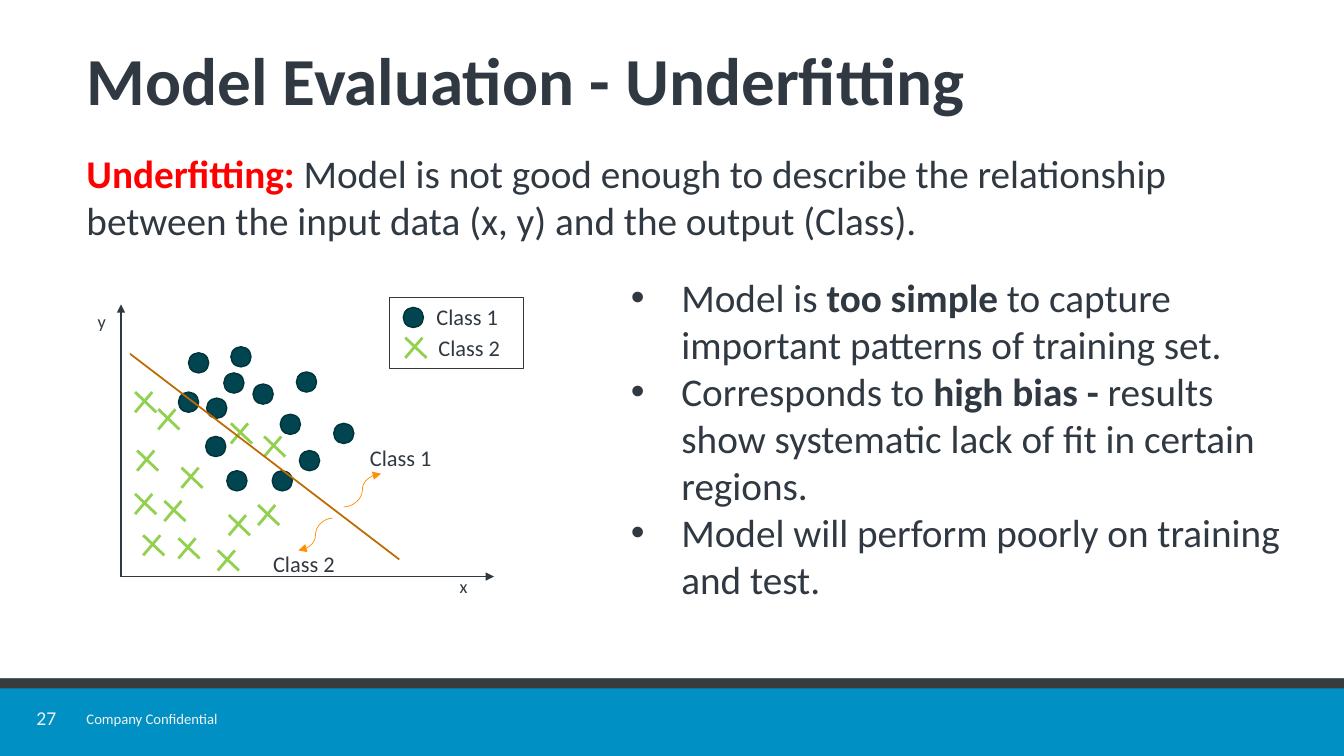
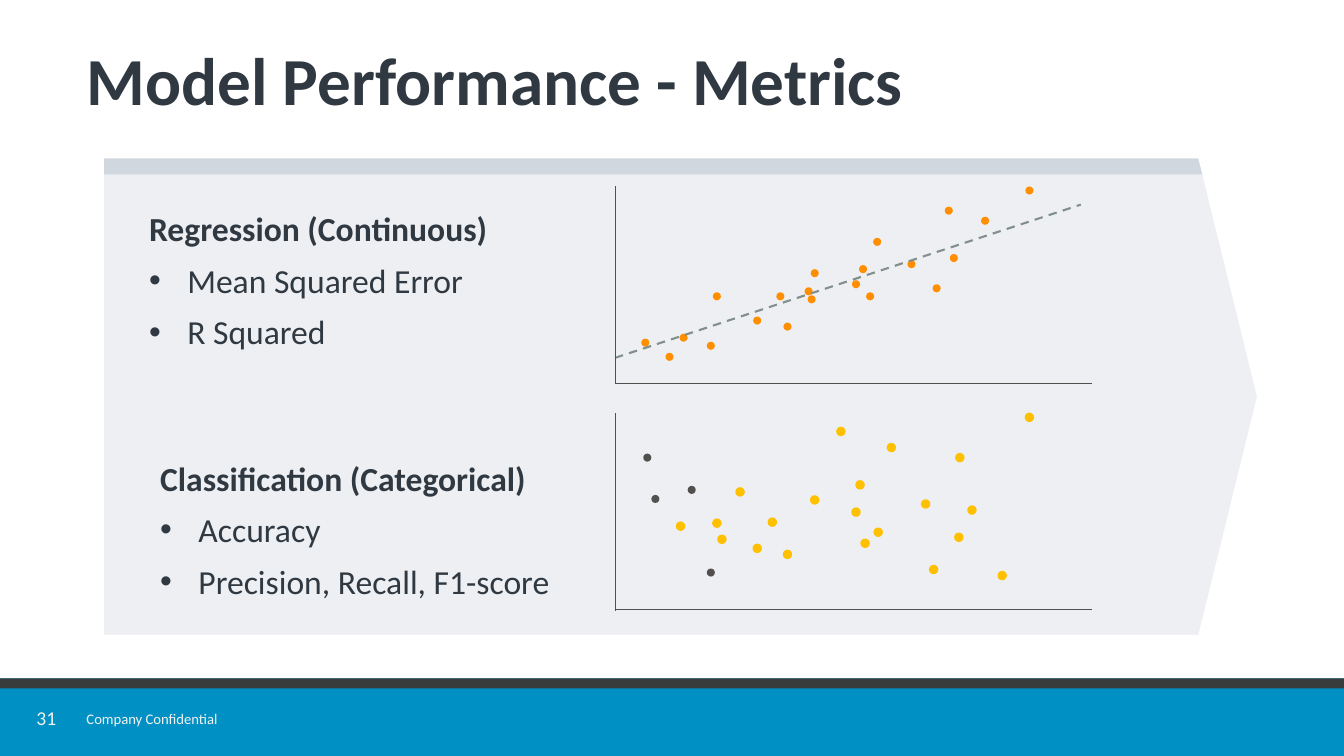
from dataclasses import dataclass

from lxml.etree import SubElement
from pptx import Presentation
from pptx.dml.color import RGBColor
from pptx.enum.dml import MSO_LINE
from pptx.enum.shapes import MSO_CONNECTOR, MSO_SHAPE
from pptx.enum.text import MSO_ANCHOR, PP_ALIGN
from pptx.oxml.ns import qn
from pptx.util import Inches, Pt


@dataclass(frozen=True)
class Theme:
    font: str = "Calibri"
    ink: str = "303942"
    red: str = "FF0000"
    white: str = "FFFFFF"
    footer_text: str = "F2F2F2"
    footer_band: str = "0090C3"
    footer_edge: str = "383D3B"
    teal: str = "00454F"
    teal_edge: str = "00333A"
    green: str = "92D050"
    boundary: str = "BF6A00"
    orange: str = "FF8E00"
    yellow: str = "FFC000"
    charcoal: str = "51504F"
    trend: str = "838F89"
    panel: str = "D1D7DE"
    title_size: float = 48
    body_size: float = 28
    list_size: float = 24
    label_size: float = 16
    number_size: float = 14
    axis_size: float = 13
    footer_size: float = 10.5


THEME = Theme()


@dataclass(frozen=True)
class Span:
    text: str
    bold: bool = False
    color: str = THEME.ink


CIRCLES = [
    (1.87, 3.5), (1.77, 3.89), (2.05, 3.95), (2.04, 4.33), (2.25, 4.67),
    (2.7, 4.67), (2.97, 4.47), (2.29, 3.44), (2.22, 3.7), (2.51, 3.81),
    (2.78, 4.11), (2.94, 3.69), (3.31, 4.2),
]
CROSSES = [
    (1.42, 5.31), (1.77, 5.34), (1.34, 4.9), (1.63, 4.97), (2.16, 5.46),
    (2.27, 5.11), (1.36, 4.47), (1.8, 4.64), (1.57, 4.06), (2.29, 4.2),
    (2.62, 4.33), (2.56, 5.01), (1.34, 3.89),
]
REGRESSION_DOTS = [
    (6.36, 3.36), (6.6, 3.5), (6.74, 3.31), (7.01, 3.39), (7.07, 2.9),
    (7.47, 3.14), (7.77, 3.2), (7.7, 2.9), (8.04, 2.67), (7.98, 2.85),
    (8.01, 2.93), (8.59, 2.9), (8.52, 2.63), (8.45, 2.78), (8.66, 2.36),
    (9, 2.58), (9.42, 2.52), (9.25, 2.82), (9.37, 2.05), (9.73, 2.15),
    (10.17, 1.85),
]
DARK_DOTS = [(6.38, 4.5), (6.46, 4.91), (7.01, 5.64), (6.82, 4.82)]
YELLOW_DOTS = [
    (6.71, 5.18), (7.07, 5.15), (7.47, 5.4), (7.77, 5.46), (8.04, 4.92),
    (7.12, 5.31), (7.3, 4.84), (9.14, 4.96), (7.62, 5.14), (8.45, 5.04),
    (8.49, 4.77), (8.67, 5.24), (8.54, 5.35), (9.48, 4.5), (8.3, 4.24),
    (8.8, 4.4), (10.17, 4.1), (9.6, 5.02), (9.47, 5.29), (9.22, 5.61),
    (9.9, 5.67),
]


def rgb(color):
    return RGBColor.from_string(color)


def set_font(font, size, color, bold=False):
    font.name = THEME.font
    font.size = Pt(size)
    font.bold = bold
    font.color.rgb = rgb(color)


def add_box(page, kind, left, top, width, height, fill=None, line=None, weight=1.0):
    box = page.shapes.add_shape(
        kind, Inches(left), Inches(top), Inches(width), Inches(height))
    box.shadow.inherit = False
    if fill:
        box.fill.solid()
        box.fill.fore_color.rgb = rgb(fill)
    else:
        box.fill.background()
    if line:
        box.line.color.rgb = rgb(line)
        box.line.width = Pt(weight)
    else:
        box.line.fill.background()
    return box


def add_line(page, start, end, color, weight, arrow=False, dash=None,
             kind=MSO_CONNECTOR.STRAIGHT):
    line = page.shapes.add_connector(kind, *map(Inches, start + end))
    line.line.color.rgb = rgb(color)
    line.line.width = Pt(weight)
    if dash:
        line.line.dash_style = dash
    properties = line.element.spPr
    if arrow:
        SubElement(properties.find(qn("a:ln")), qn("a:tailEnd"), type="triangle")
    SubElement(properties, qn("a:effectLst"))


def set_bullet(para, indent):
    properties = para._p.get_or_add_pPr()
    properties.set("marL", str(Inches(indent)))
    properties.set("indent", str(-Inches(indent)))
    SubElement(properties, qn("a:buFont"), typeface="Arial")
    SubElement(properties, qn("a:buChar"), char="•")


def add_text(page, left, top, width, height, paragraphs, size, indent=0,
             plain_lead=False, gap=0, spacing=None):
    """Write lists of spans; with an indent, all are bulleted but a plain lead."""
    box = page.shapes.add_textbox(
        Inches(left), Inches(top), Inches(width), Inches(height))
    frame = box.text_frame
    frame.word_wrap = True
    for index, spans in enumerate(paragraphs):
        para = frame.add_paragraph() if index else frame.paragraphs[0]
        if indent and (index or not plain_lead):
            set_bullet(para, indent)
        if index and gap:
            para.space_before = Pt(gap)
        if spacing:
            para.line_spacing = spacing
        set_font(para.font, size, spans[0].color, spans[0].bold)
        for span in spans:
            run = para.add_run()
            run.text = span.text
            if span.bold != spans[0].bold:
                run.font.bold = span.bold
            if span.color != spans[0].color:
                run.font.color.rgb = rgb(span.color)
    return box


def add_label(page, left, top, width, height, text, size=THEME.label_size):
    return add_text(page, left, top, width, height, [[Span(text)]], size)


def add_footer(page):
    """Build the bands and the notice, then hand them to the page's layout."""
    notice = add_text(page, 0.76, 6.99, 1.6, 0.28,
                      [[Span("Company Confidential", color=THEME.footer_text)]],
                      THEME.footer_size)
    notice.text_frame.word_wrap = False
    bands = [add_box(page, MSO_SHAPE.RECTANGLE, 0, 6.73, 13.33, height, fill)
             for height, fill in ((0.77, THEME.footer_band), (0.1, THEME.footer_edge))]
    for part in (*bands, notice):
        page.slide_layout.shapes.element.append(part.element)


def add_page(deck, layout, title, number):
    page = deck.slides.add_slide(layout)
    heading = page.shapes.title
    heading.left, heading.top = Inches(0.76), Inches(0.32)
    heading.width, heading.height = Inches(11.91), Inches(1.08)
    heading.text_frame.text = title
    heading.text_frame.vertical_anchor = MSO_ANCHOR.MIDDLE
    para = heading.text_frame.paragraphs[0]
    para.alignment = PP_ALIGN.LEFT
    para.line_spacing = 0.8
    set_font(para.font, THEME.title_size, THEME.ink, bold=True)

    box = add_text(page, 0.33, 7.02, 0.26, 0.23,
                   [[Span(str(number), color=THEME.footer_text)]],
                   THEME.number_size, spacing=0.9)
    frame = box.text_frame
    frame.margin_left = frame.margin_right = frame.margin_top = frame.margin_bottom = 0
    frame.vertical_anchor = MSO_ANCHOR.MIDDLE
    frame.paragraphs[0].alignment = PP_ALIGN.CENTER
    return page


def add_circle(page, left, top):
    add_box(page, MSO_SHAPE.OVAL, left, top, 0.2, 0.2, THEME.teal, THEME.teal_edge)


def add_cross(page, left, top):
    bottom = top + 0.2
    add_line(page, (left, top), (left + 0.21, bottom), THEME.green, 2)
    add_line(page, (left + 0.17, top), (left, bottom), THEME.green, 2)


def add_dots(page, places, fill, line=None):
    for left, top in places:
        add_box(page, MSO_SHAPE.FLOWCHART_CONNECTOR, left, top, 0.08, 0.08, fill, line)


def add_plot_axes(page, top):
    left, base = 6.1, top + 1.95
    add_line(page, (left, base + 0.01), (left, top), THEME.charcoal, 0.5)
    add_line(page, (left, base), (10.83, base), THEME.charcoal, 0.5)


def add_class_plot(page):
    origin = (1.2, 5.72)
    for end in ((4.9, 5.72), (1.2, 3.02)):
        add_line(page, origin, end, THEME.ink, 1, arrow=True)
    add_label(page, 4.46, 5.66, 0.33, 0.4, "x", THEME.axis_size)
    add_label(page, 0.87, 3.03, 0.33, 0.4, "y", THEME.axis_size)
    for place in CIRCLES:
        add_circle(page, *place)
    for place in CROSSES:
        add_cross(page, *place)
    add_line(page, (1.29, 3.51), (3.96, 5.55), THEME.boundary, 1.25)
    for start, end in (((3.41, 5.03), (3.78, 4.7)), ((3.3, 5.14), (2.96, 5.46))):
        add_line(page, start, end, THEME.orange, 0.5, arrow=True,
                 kind=MSO_CONNECTOR.CURVE)
    add_label(page, 3.57, 4.36, 1.01, 0.37, "Class 1")
    add_label(page, 2.61, 5.41, 1.01, 0.37, "Class 2")


def add_legend(page):
    add_circle(page, 4, 3.05)
    add_cross(page, 4.02, 3.35)
    add_label(page, 4.23, 2.96, 0.99, 0.37, "Class 1")
    add_label(page, 4.25, 3.27, 0.99, 0.37, "Class 2")
    add_box(page, MSO_SHAPE.RECTANGLE, 3.86, 2.95, 1.33, 0.71,
            line=THEME.ink, weight=0.75)


def add_panel(page):
    back = add_box(page, MSO_SHAPE.PENTAGON, 1, 1.54, 11.5, 4.79,
                   THEME.panel, THEME.white, 4.5)
    back.adjustments[0] = 0.123
    veil = add_box(page, MSO_SHAPE.PENTAGON, 0.71, 1.73, 11.95, 4.59, THEME.white)
    veil.adjustments[0] = 0.056
    color = veil.element.spPr.find(qn("a:solidFill")).find(qn("a:srgbClr"))
    SubElement(color, qn("a:alpha"), val="62000")


def fill_underfitting(page):
    add_text(page, 0.76, 1.43, 11.9, 1.1, [[
        Span("Underfitting: ", True, THEME.red),
        Span("Model is not good enough to describe the relationship between "
             "the input data (x, y) and the output (Class)."),
    ]], THEME.body_size)
    add_class_plot(page)
    add_legend(page)
    add_text(page, 6.16, 2.66, 6.69, 3.4, [
        [Span("Model is "), Span("too simple ", True),
         Span("to capture important patterns of training set.")],
        [Span("Corresponds to "), Span("high bias - ", True),
         Span("results show systematic lack of fit in certain regions.")],
        [Span("Model will perform poorly on training and test.")],
    ], THEME.body_size, indent=0.5)


def fill_metrics(page):
    add_panel(page)
    add_text(page, 1.38, 2.06, 4.44, 1.65, [
        [Span("Regression (Continuous)", True)],
        [Span("Mean Squared Error")],
        [Span("R Squared")],
    ], THEME.list_size, indent=0.38, plain_lead=True, gap=10.9, spacing=0.9)
    add_text(page, 1.49, 4.49, 4.35, 1.15, [
        [Span("Classification (Categorical)", True)],
        [Span("Accuracy")],
        [Span("Precision, Recall, F1-score")],
    ], THEME.list_size, indent=0.38, plain_lead=True, gap=8)
    add_dots(page, DARK_DOTS, THEME.charcoal)
    add_dots(page, YELLOW_DOTS, THEME.yellow, THEME.yellow)
    add_dots(page, REGRESSION_DOTS, THEME.orange)
    add_line(page, (6.1, 3.55), (10.72, 2.03), THEME.trend, 1.5, dash=MSO_LINE.DASH)
    for top in (1.85, 4.1):
        add_plot_axes(page, top)


def main():
    deck = Presentation()
    deck.slide_width, deck.slide_height = Inches(13.33), Inches(7.5)
    layout = deck.slide_layouts.get_by_name("Title Only")
    underfitting = add_page(deck, layout, "Model Evaluation - Underfitting", 27)
    add_footer(underfitting)
    fill_underfitting(underfitting)
    fill_metrics(add_page(deck, layout, "Model Performance - Metrics", 31))
    deck.save("out.pptx")


if __name__ == "__main__":
    main()
